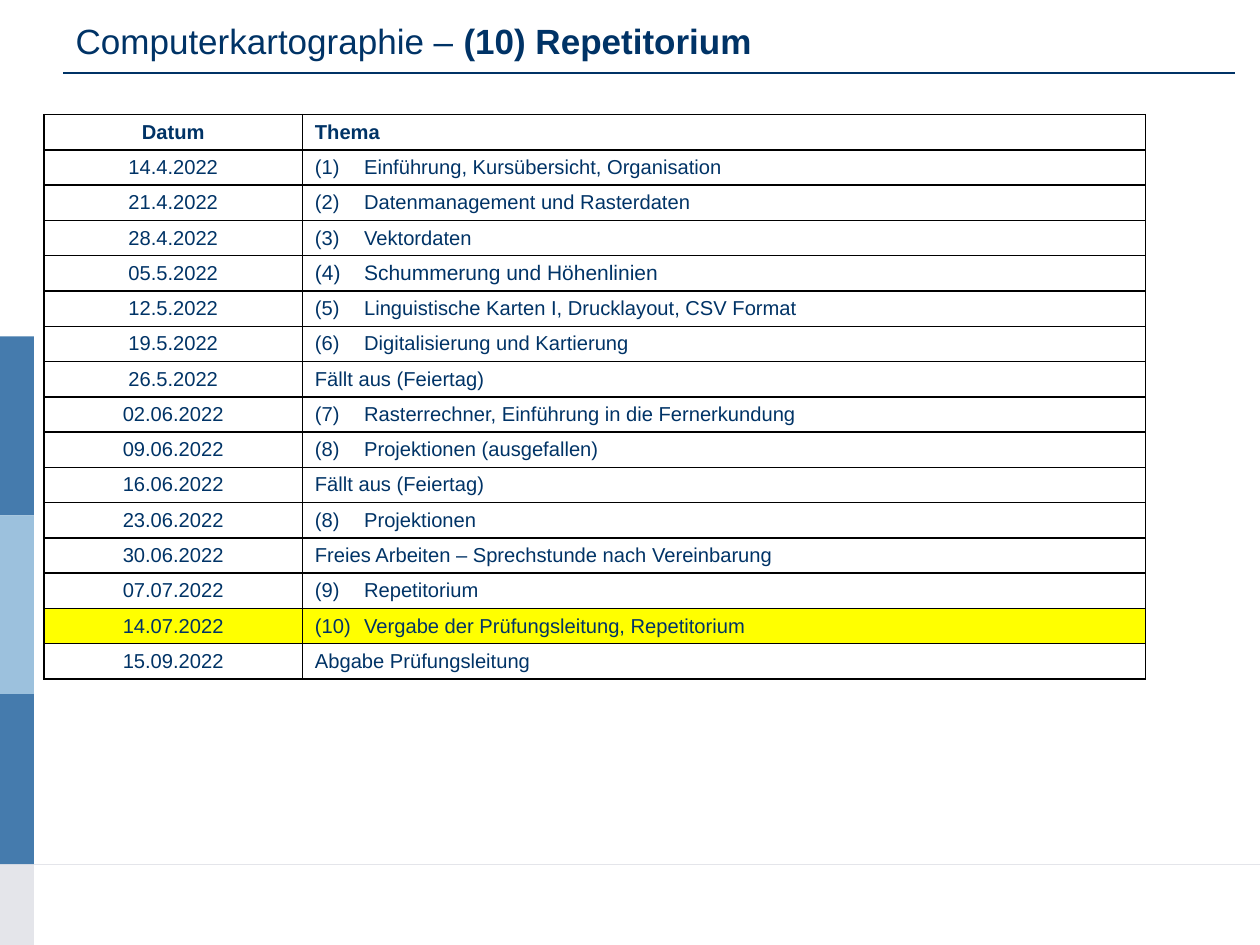
from lxml import etree
from pptx import Presentation
from pptx.dml.color import RGBColor
from pptx.enum.shapes import MSO_CONNECTOR as CONNECTOR, MSO_SHAPE as SHAPE
from pptx.enum.text import MSO_ANCHOR as ANCHOR, PP_ALIGN as ALIGN
from pptx.oxml.ns import qn
from pptx.util import Inches, Pt

COLORS = {
    "navy": "003366", "blue": "457BAD", "light": "9CC1DD",
    "gray": "E4E5EA", "black": "000000", "yellow": "FFFF00",
}
FONT = "Arial"
SCHEDULE = [
    ("Datum", "Thema"),
    ("14.4.2022", "(1)\tEinführung, Kursübersicht, Organisation"),
    ("21.4.2022", "(2)\tDatenmanagement und Rasterdaten"),
    ("28.4.2022", "(3)\tVektordaten"),
    ("05.5.2022", "(4)\tSchummerung und Höhenlinien"),
    ("12.5.2022", "(5)\tLinguistische Karten I, Drucklayout, CSV Format"),
    ("19.5.2022", "(6)\tDigitalisierung und Kartierung"),
    ("26.5.2022", "Fällt aus (Feiertag)"),
    ("02.06.2022", "(7)\tRasterrechner, Einführung in die Fernerkundung"),
    ("09.06.2022", "(8)\tProjektionen (ausgefallen)"),
    ("16.06.2022", "Fällt aus (Feiertag)"),
    ("23.06.2022", "(8)\tProjektionen"),
    ("30.06.2022", "Freies Arbeiten – Sprechstunde nach Vereinbarung"),
    ("07.07.2022", "(9)\tRepetitorium"),
    ("14.07.2022", "(10)\tVergabe der Prüfungsleitung, Repetitorium"),
    ("15.09.2022", "Abgabe Prüfungsleitung"),
]
TODAY = "14.07.2022"
LARGER = "05.5.2022"
ROW_HEIGHT = Inches(0.28)


def add_rule(left, right, y, color, width):
    rule = slide.shapes.add_connector(
        CONNECTOR.STRAIGHT, Inches(left), Inches(y), Inches(right), Inches(y))
    rule.line.color.rgb = RGBColor.from_string(COLORS[color])
    rule.line.width = Pt(width)
    etree.SubElement(rule._element.spPr, qn("a:effectLst"))


def add_borders(cell):
    properties = cell._tc.get_or_add_tcPr()
    for side in ("a:lnL", "a:lnR", "a:lnT", "a:lnB"):
        border = etree.SubElement(properties, qn(side), w=str(Pt(1)))
        fill = etree.SubElement(border, qn("a:solidFill"))
        etree.SubElement(fill, qn("a:srgbClr"), val=COLORS["black"])


prs = Presentation()
prs.slide_width, prs.slide_height = Inches(10), Inches(7.5)
slide = prs.slides.add_slide(prs.slide_layouts[5])

# Side bars and footer rule
add_rule(0, 10, 6.86, "gray", 0.5)
for top, bottom, color in [(2.67, 4.09, "blue"), (4.09, 5.51, "light"),
                           (5.51, 6.86, "blue"), (6.86, 7.5, "gray")]:
    bar = slide.shapes.add_shape(
        SHAPE.RECTANGLE, 0, Inches(top), Inches(0.27), Inches(bottom - top))
    bar.shadow.inherit = False
    bar.fill.solid()
    bar.fill.fore_color.rgb = RGBColor.from_string(COLORS[color])
    bar.line.fill.background()

# Title
title = slide.shapes.title
title.left, title.top = Inches(0.5), Inches(0.05)
title.width, title.height = Inches(9), Inches(0.55)
title.text_frame.vertical_anchor = ANCHOR.MIDDLE
heading = title.text_frame.paragraphs[0]
heading.alignment = ALIGN.LEFT
heading.font.name = FONT
heading.font.size = Pt(20)
heading.font.color.rgb = RGBColor.from_string(COLORS["navy"])
heading.add_run().text = "Computerkartographie – "
session = heading.add_run()
session.text = "(10) Repetitorium"
session.font.bold = True
add_rule(0.5, 9.8, 0.58, "navy", 0.75)

# Schedule
schedule = slide.shapes.add_table(
    len(SCHEDULE), 2, Inches(0.35), Inches(0.91), Inches(8.74),
    ROW_HEIGHT * len(SCHEDULE)).table
schedule.horz_banding = False
schedule.columns[0].width = Inches(2.05)
schedule.columns[1].width = Inches(6.69)
for row, entry in enumerate(SCHEDULE):
    schedule.rows[row].height = ROW_HEIGHT
    for column, text in enumerate(entry):
        cell = schedule.cell(row, column)
        cell.text = text
        cell.vertical_anchor = ANCHOR.MIDDLE
        cell.margin_top = cell.margin_bottom = Inches(0.03)
        add_borders(cell)
        if entry[0] == TODAY:
            cell.fill.solid()
            cell.fill.fore_color.rgb = RGBColor.from_string(COLORS["yellow"])
        else:
            cell.fill.background()
        paragraph = cell.text_frame.paragraphs[0]
        paragraph.alignment = ALIGN.LEFT if column else ALIGN.CENTER
        paragraph.font.name = FONT
        paragraph.font.size = Pt(12 if column and entry[0] == LARGER else 11.5)
        paragraph.font.bold = row == 0
        paragraph.font.color.rgb = RGBColor.from_string(COLORS["navy"])
        if "\t" in text:
            indent = Inches(0.39)
            paragraph._p.get_or_add_pPr().set("marL", str(indent))
            paragraph._p.get_or_add_pPr().set("indent", str(-indent))

prs.save("out.pptx")
